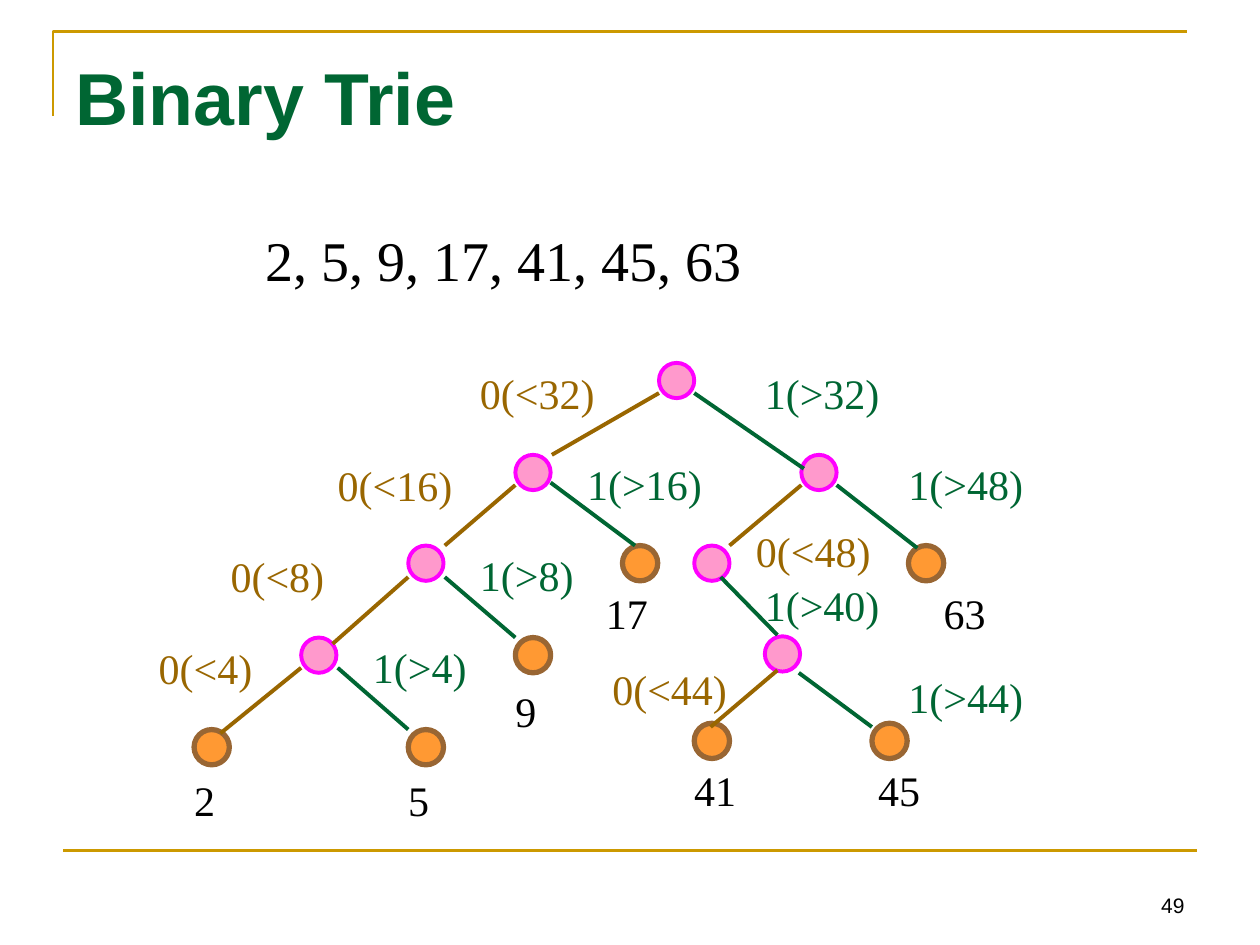
import pptx
import pptx.enum.shapes
import pptx.enum.text
import pptx.util
from lxml import etree
from pptx.dml.color import RGBColor
from pptx.oxml.ns import qn
from pptx.util import Inches

COLORS = {
    "rule": "CC9900", "title": "006633", "text": "000000",
    "zero": "996600", "one": "006633",
    "branch": "FF99CC", "branch_line": "FF00FF",
    "leaf": "FF9933", "leaf_line": "996633",
}
SERIF = "Times New Roman"
NODE_SIZE = 0.28

# Tree positions are inches from the top left corner of the tree's box.
BRANCHES = [(3.97, 0), (2.83, 0.73), (5.1, 0.73), (1.98, 1.45),
            (4.25, 1.45), (1.13, 2.18), (4.81, 2.17)]
# Leaf position, key, key position
LEAVES = [
    ((0.28, 2.91), "2", (0.28, 3.23)),
    ((1.98, 2.91), "5", (1.98, 3.23)),
    ((2.83, 2.18), "9", (2.83, 2.52)),
    ((3.68, 1.45), "17", (3.55, 1.74)),
    ((4.25, 2.86), "41", (4.25, 3.15)),
    ((5.66, 2.86), "45", (5.71, 3.15)),
    ((5.95, 1.45), "63", (6.23, 1.74)),
]
# Bit, start, end, condition, condition position
EDGES = [
    ("zero", (3.97, 0.24), (3.12, 0.73), "0(<32)", (2.55, 0)),
    ("one", (4.25, 0.24), (5.12, 0.84), "1(>32)", (4.81, 0)),
    ("zero", (2.83, 0.97), (2.27, 1.45), "0(<16)", (1.42, 0.73)),
    ("one", (3.11, 0.95), (3.78, 1.45), "1(>16)", (3.4, 0.72)),
    ("zero", (5.1, 0.97), (4.53, 1.45), "0(<48)", (4.74, 1.25)),
    ("one", (5.38, 0.97), (6.02, 1.47), "1(>48)", (5.95, 0.72)),
    ("zero", (1.98, 1.7), (1.38, 2.23), "0(<8)", (0.57, 1.45)),
    ("one", (2.27, 1.7), (2.83, 2.18), "1(>8)", (2.55, 1.44)),
    ("one", (4.46, 1.7), (4.91, 2.16), "1(>40)", (4.81, 1.68)),
    ("zero", (1.13, 2.42), (0.49, 2.94), "0(<4)", (0, 2.18)),
    ("one", (1.42, 2.42), (1.98, 2.91), "1(>4)", (1.7, 2.17)),
    ("zero", (4.91, 2.44), (4.38, 2.89), "0(<44)", (3.6, 2.35)),
    ("one", (5.08, 2.46), (5.66, 2.89), "1(>44)", (5.95, 2.41)),
]


def rgb(name):
    return RGBColor.from_string(COLORS[name])


def add_text(page, text, left, top, width, height, size, color,
             font=SERIF, inset=0.0, bold=False, right=False, bottom=False):
    box = page.shapes.add_textbox(*map(Inches, (left, top, width, height)))
    frame = box.text_frame
    frame.word_wrap = True
    frame.margin_left = frame.margin_right = Inches(inset)
    frame.margin_top = frame.margin_bottom = Inches(inset / 2)
    if bottom:
        frame.vertical_anchor = pptx.enum.text.MSO_ANCHOR.BOTTOM
    para = frame.paragraphs[0]
    para.text = text
    if right:
        para.alignment = pptx.enum.text.PP_ALIGN.RIGHT
    para.font.name = font
    para.font.size = pptx.util.Pt(size)
    para.font.bold = bold
    para.font.color.rgb = rgb(color)


def add_line(page, start, end, color, weight):
    line = page.shapes.add_connector(
        pptx.enum.shapes.MSO_CONNECTOR.STRAIGHT, *map(Inches, (*start, *end)))
    line.line.color.rgb = rgb(color)
    line.line.width = pptx.util.Pt(weight)
    etree.SubElement(line._element.spPr, qn("a:effectLst"))


def add_node(page, left, top, kind, weight):
    node = page.shapes.add_shape(
        pptx.enum.shapes.MSO_SHAPE.OVAL,
        *map(Inches, (left, top, NODE_SIZE, NODE_SIZE)))
    node.shadow.inherit = False
    node.fill.solid()
    node.fill.fore_color.rgb = rgb(kind)
    node.line.color.rgb = rgb(kind + "_line")
    node.line.width = pptx.util.Pt(weight)


def add_header(page, left, top, width, height):
    """Draw the corner rule and the title inside it."""
    builder = page.shapes.build_freeform(Inches(left), Inches(top + height))
    builder.add_line_segments(
        [(Inches(left), Inches(top)), (Inches(left + width), Inches(top))],
        close=False)
    corner = builder.convert_to_shape()
    corner.shadow.inherit = False
    corner.fill.background()
    corner.line.color.rgb = rgb("rule")
    corner.line.width = pptx.util.Pt(1.5)
    add_text(page, "Binary Trie", left + 0.08, top + 0.11, width, 1.18, 42,
             "title", font="Arial", inset=0.1, bold=True)


def add_footer(page, left, top, width):
    """Draw the bottom rule and the page number under its right end."""
    add_line(page, (left, top), (left + width, top), "rule", 1.5)
    add_text(page, "49", left + width - 2.33, top + 0.08, 2.33, 0.5, 12,
             "text", font="Arial", inset=0.1, right=True, bottom=True)


def add_tree(page, left, top):
    def at(point):
        return left + point[0], top + point[1]

    def add_label(text, point, color):
        x, y = at(point)
        add_text(page, text, x, y + 0.04, 1.2, 0.44, 24, color)

    for point in BRANCHES:
        add_node(page, *at(point), "branch", 2.25)
    for point, key, key_point in LEAVES:
        add_node(page, *at(point), "leaf", 3)
        add_label(key, key_point, "text")
    for bit, start, end, condition, condition_point in EDGES:
        add_line(page, at(start), at(end), bit, 2.25)
        add_label(condition, condition_point, bit)


def main():
    deck = pptx.Presentation()
    deck.slide_width, deck.slide_height = Inches(10), Inches(7.5)
    page = deck.slides.add_slide(deck.slide_layouts[6])
    add_header(page, 0.42, 0.25, 9, 0.67)
    add_footer(page, 0.5, 6.75, 9)
    add_text(page, "2, 5, 9, 17, 41, 45, 63", 2.01, 1.74, 7.02, 0.69, 32,
             "text", inset=0.1)
    add_tree(page, 1.26, 2.88)
    deck.save("out.pptx")


if __name__ == "__main__":
    main()
